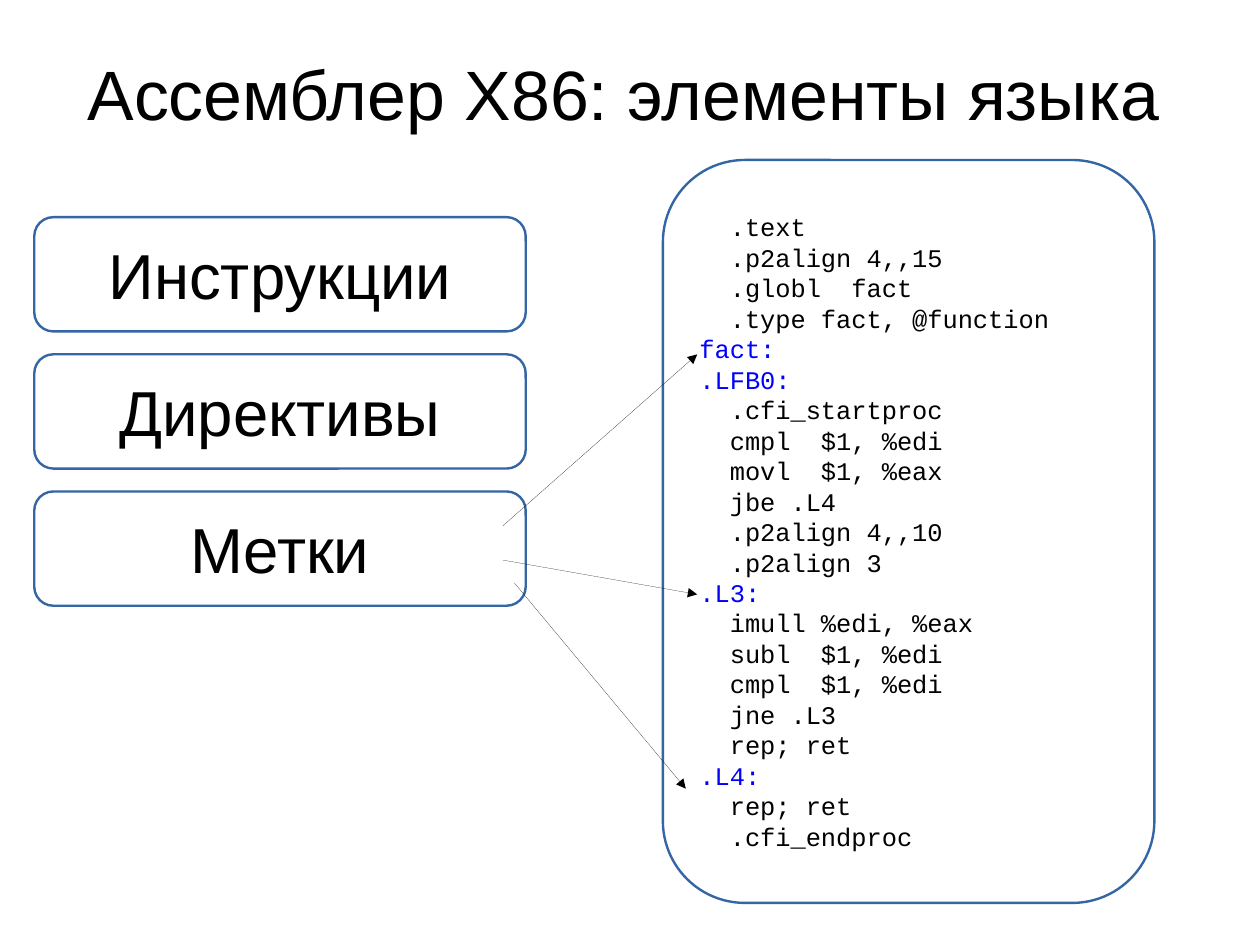
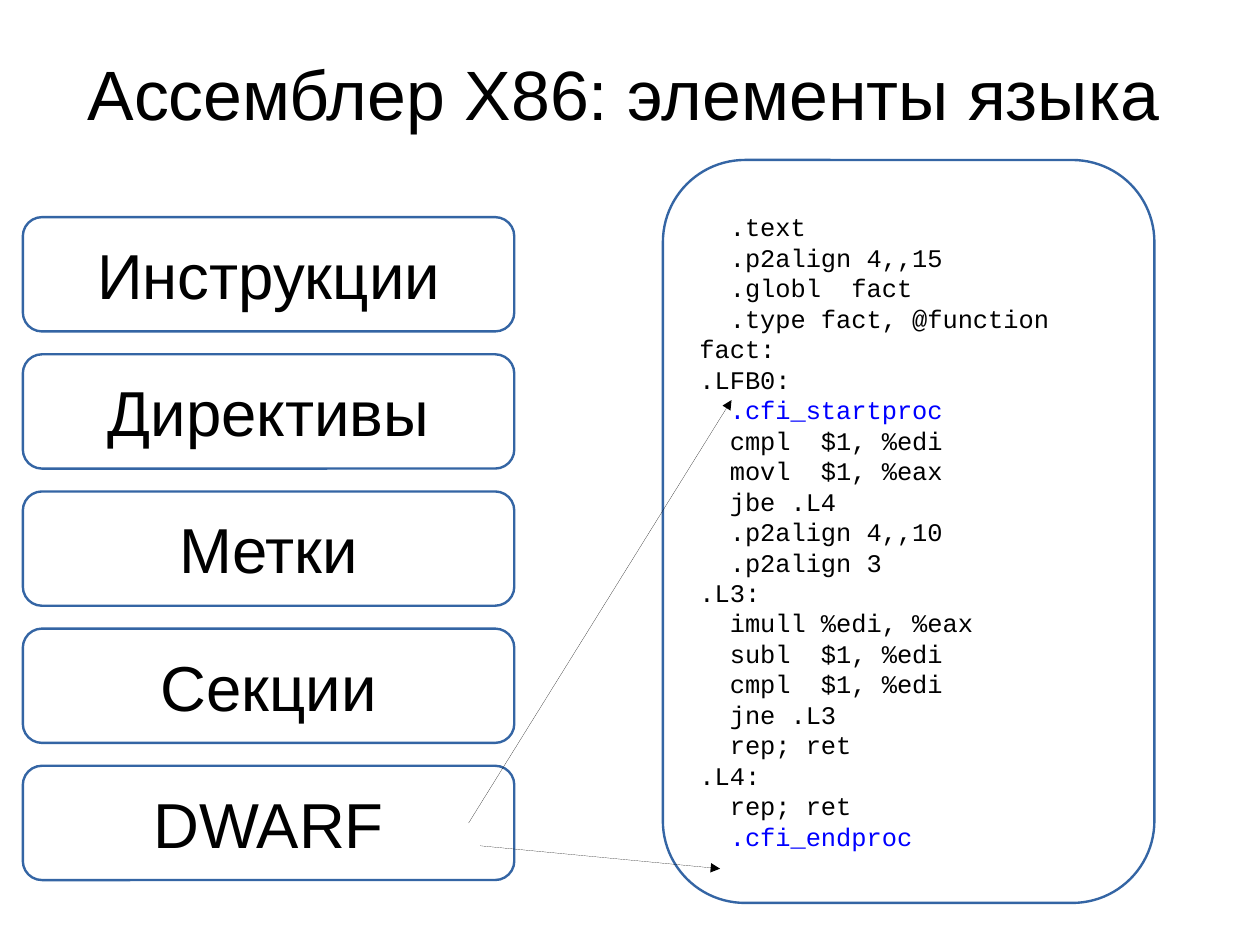
from lxml import etree
from pptx import Presentation
from pptx.dml.color import RGBColor
from pptx.enum.shapes import MSO_CONNECTOR, MSO_SHAPE
from pptx.enum.text import MSO_ANCHOR, MSO_AUTO_SIZE, PP_ALIGN
from pptx.oxml.ns import qn
from pptx.util import Pt

ROUNDED = MSO_SHAPE.ROUNDED_RECTANGLE
STRAIGHT = MSO_CONNECTOR.STRAIGHT
MIDDLE = MSO_ANCHOR.MIDDLE
NO_FIT = MSO_AUTO_SIZE.NONE
LEFT, CENTER = PP_ALIGN.LEFT, PP_ALIGN.CENTER

BLACK, WHITE, BLUE, BORDER = "000000", "FFFFFF", "0000FF", "3465A4"
TITLE = "Ассемблер X86: элементы языка"
CODE = """\
  .text
  .p2align 4,,15
  .globl  fact
  .type fact, @function
fact:
.LFB0:
  .cfi_startproc
  cmpl  $1, %edi
  movl  $1, %eax
  jbe .L4
  .p2align 4,,10
  .p2align 3
.L3:
  imull %edi, %eax
  subl  $1, %edi
  cmpl  $1, %edi
  jne .L3
  rep; ret
.L4:
  rep; ret
  .cfi_endproc""".split("\n")
TOPICS = ["Инструкции", "Директивы", "Метки", "Секции", "DWARF"]

SLIDES = [
    {
        "topics": TOPICS[:3],
        "left": 21.6,
        "marked": {"fact:", ".LFB0:", ".L3:", ".L4:"},
        "arrows": [
            (316.8, 331.2, 439.2, 223.2),
            (316.8, 352.8, 439.2, 374.4),
            (324, 367.2, 432, 496.8),
        ],
    },
    {
        "topics": TOPICS,
        "left": 14.4,
        "marked": {".cfi_startproc", ".cfi_endproc"},
        "arrows": [
            (295.2, 518.4, 460.8, 252),
            (302.4, 532.8, 453.6, 547.2),
        ],
    },
]

PAGE_WIDTH, PAGE_HEIGHT = 793.7, 595.28
PANEL_WIDTH = 309.6
TOPIC_TOP, TOPIC_HEIGHT, TOPIC_STEP = 136.8, 72, 86.4
HAIRLINE = 0.01


def color(value):
    return RGBColor.from_string(value)


def write(box, lines, *, size, font, align=CENTER, inset=(0, 0),
          marked=(), spacing=None):
    frame = box.text_frame
    frame.auto_size = NO_FIT
    frame.word_wrap = True
    frame.vertical_anchor = MIDDLE
    frame.margin_left = frame.margin_right = Pt(inset[0])
    frame.margin_top = frame.margin_bottom = Pt(inset[1])
    for index, line in enumerate(lines):
        para = frame.add_paragraph() if index else frame.paragraphs[0]
        para.alignment = align
        if spacing:
            para.line_spacing = Pt(spacing)
        span = para.add_run()
        span.text = line
        span.font.name = font
        span.font.size = Pt(size)
        span.font.color.rgb = color(BLUE if line.strip() in marked else BLACK)


def add_panel(page, left, top, height, lines, **text_format):
    panel = page.shapes.add_shape(
        ROUNDED, Pt(left), Pt(top), Pt(PANEL_WIDTH), Pt(height))
    panel.adjustments[0] = 0.167
    panel.shadow.inherit = False
    panel.fill.solid()
    panel.fill.fore_color.rgb = color(WHITE)
    panel.line.color.rgb = color(BORDER)
    panel.line.width = Pt(1.5)
    write(panel, lines, inset=(7.92, 4.32), **text_format)


def add_arrow(page, points):
    arrow = page.shapes.add_connector(STRAIGHT, *map(Pt, points))
    arrow.line.color.rgb = color(BLACK)
    arrow.line.width = Pt(HAIRLINE)
    properties = arrow._element.spPr
    etree.SubElement(properties.find(qn("a:ln")), qn("a:tailEnd"),
                     type="triangle")
    etree.SubElement(properties, qn("a:effectLst"))


def add_page(deck, content):
    page = deck.slides.add_slide(deck.slide_layouts[5])
    title = page.shapes.title
    title.left, title.top = Pt(36), Pt(8.64)
    title.width, title.height = Pt(714.24), Pt(99.36)
    write(title, [TITLE], size=44, font="Arial")
    add_panel(page, 417.6, 100.8, 468, CODE, size=16, font="Courier New",
              align=LEFT, marked=content["marked"], spacing=19.2)
    for index, topic in enumerate(content["topics"]):
        add_panel(page, content["left"], TOPIC_TOP + index * TOPIC_STEP,
                  TOPIC_HEIGHT, [topic], size=40, font="Arial")
    for points in content["arrows"]:
        add_arrow(page, points)


def main():
    deck = Presentation()
    deck.slide_width, deck.slide_height = Pt(PAGE_WIDTH), Pt(PAGE_HEIGHT)
    for content in SLIDES:
        add_page(deck, content)
    deck.save("out.pptx")


if __name__ == "__main__":
    main()
